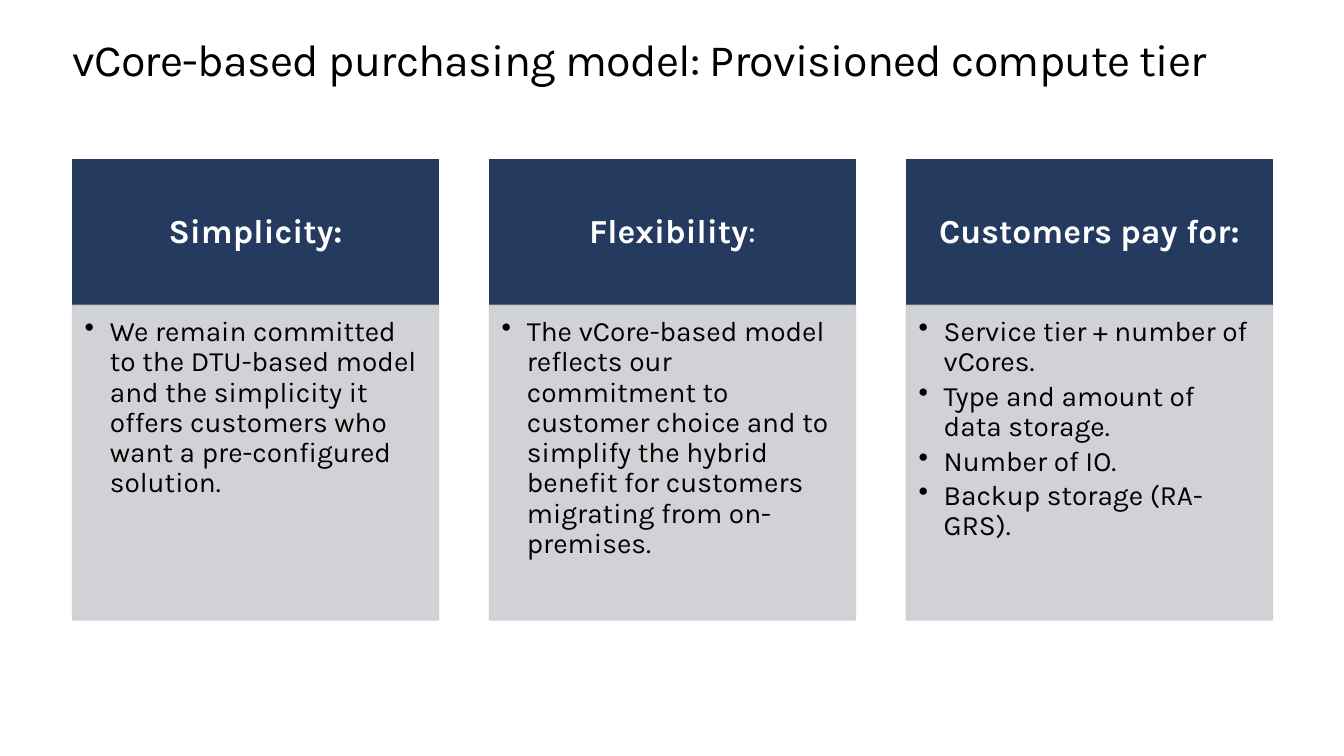
from dataclasses import dataclass

from pptx import Presentation
from pptx.dml.color import RGBColor
from pptx.enum.shapes import MSO_SHAPE
from pptx.enum.text import MSO_ANCHOR, MSO_AUTO_SIZE, PP_ALIGN
from pptx.oxml.ns import qn
from pptx.shapes.autoshape import Shape
from pptx.slide import Slide
from pptx.text.text import Font, TextFrame, _Paragraph
from pptx.util import Emu, Pt

RECT = MSO_SHAPE.RECTANGLE
TOP, MIDDLE = MSO_ANCHOR.TOP, MSO_ANCHOR.MIDDLE
LEFT, CENTER = PP_ALIGN.LEFT, PP_ALIGN.CENTER
GROW = MSO_AUTO_SIZE.SHAPE_TO_FIT_TEXT

FACE = "Karla"
NAVY, GREY, WHITE, BLACK = "243A5E", "CDCED2", "FFFFFF", "000000"

# Lengths in px, 100 to the inch
EDGE, SPAN = 72, 1190
CARD_W, STEP = 363, 413.5
HEAD_Y, HEAD_H = 158, 145
LIST_Y, LIST_H = HEAD_Y + HEAD_H, 312


@dataclass
class Card:
    head: str
    items: list[str]
    tail: str = ""


CARDS = [
    Card("Simplicity:", [
        "We remain committed to the DTU-based model and the simplicity it "
        "offers customers who want a pre-configured solution.",
    ]),
    Card("Flexibility", [
        "The vCore-based model reflects our commitment to customer choice and "
        "to simplify the hybrid benefit for customers migrating from "
        "on-premises.",
    ], tail=":"),
    Card("Customers pay for:", [
        "Service tier + number of vCores.",
        "Type and amount of data storage.",
        "Number of IO.",
        "Backup storage (RA-GRS).",
    ]),
]


def px(size: float) -> Emu:
    return Emu(round(size * 9144))


def rgb(code: str) -> RGBColor:
    return RGBColor.from_string(code)


def style(font: Font, size: int, color: str, bold: bool = False) -> None:
    font.name, font.size, font.bold = FACE, Pt(size), bold
    font.color.rgb = rgb(color)


def inset(frame: TextFrame, left: int, top: int, right: int, low: int) -> None:
    frame.margin_left, frame.margin_top = px(left), px(top)
    frame.margin_right, frame.margin_bottom = px(right), px(low)
    frame.word_wrap = True


def panel(slide: Slide, x: float, y: int, high: int, color: str) -> Shape:
    box = slide.shapes.add_shape(RECT, px(x), px(y), px(CARD_W), px(high))
    box.shadow.inherit = False
    box.fill.solid()
    box.fill.fore_color.rgb = box.line.color.rgb = rgb(color)
    box.line.width = Pt(1)
    return box


def fade(box: Shape, share: int) -> None:
    """Set the opacity of fill and line, in percent."""
    for color in box._element.spPr.iter(qn("a:srgbClr")):
        alpha = color.makeelement(qn("a:alpha"), {"val": str(share * 1000)})
        color.append(alpha)


def bullet(para: _Paragraph) -> None:
    props = para._p.get_or_add_pPr()
    props.set("marL", str(px(25)))
    props.set("indent", str(px(-25)))
    props.append(props.makeelement(qn("a:buChar"), {"char": "•"}))


def add_head(slide: Slide, x: float, card: Card) -> None:
    frame = panel(slide, x, HEAD_Y, HEAD_H, NAVY).text_frame
    inset(frame, 19, 11, 19, 11)
    frame.vertical_anchor = MIDDLE
    frame.text = card.head
    para = frame.paragraphs[0]
    para.alignment, para.line_spacing, para.space_after = CENTER, 0.9, Pt(8)
    style(para.runs[0].font, 24, WHITE, bold=True)
    if card.tail:
        run = para.add_run()
        run.text = card.tail
        style(run.font, 24, WHITE)


def add_list(slide: Slide, x: float, card: Card) -> None:
    box = panel(slide, x, LIST_Y, LIST_H, GREY)
    fade(box, 90)
    frame = box.text_frame
    inset(frame, 12, 12, 16, 17)
    frame.vertical_anchor = TOP
    frame.text = "\n".join(card.items)
    for para in frame.paragraphs:
        bullet(para)
        para.level = 1
        para.alignment, para.line_spacing, para.space_after = LEFT, 0.9, Pt(3)
        style(para.runs[0].font, 20, BLACK)


def add_title(slide: Slide, text: str) -> None:
    title = slide.shapes.title
    title.left, title.top = px(EDGE), px(35)
    title.width, title.height = px(SPAN), px(50)
    frame = title.text_frame
    inset(frame, 0, 0, 0, 0)
    frame.vertical_anchor, frame.auto_size = TOP, GROW
    frame.text = text
    para = frame.paragraphs[0]
    para.alignment, para.line_spacing = LEFT, Pt(36.2)
    run = para.runs[0]
    style(run.font, 32, BLACK)
    run._r.get_or_add_rPr().set("spc", "-50")


def main() -> None:
    deck = Presentation()
    deck.slide_width, deck.slide_height = px(1333), px(750)
    slide = deck.slides.add_slide(deck.slide_layouts[5])
    add_title(slide, "vCore-based purchasing model: Provisioned compute tier")
    for i, card in enumerate(CARDS):
        x = EDGE + i * STEP
        add_head(slide, x, card)
        add_list(slide, x, card)
    deck.save("out.pptx")


if __name__ == "__main__":
    main()
